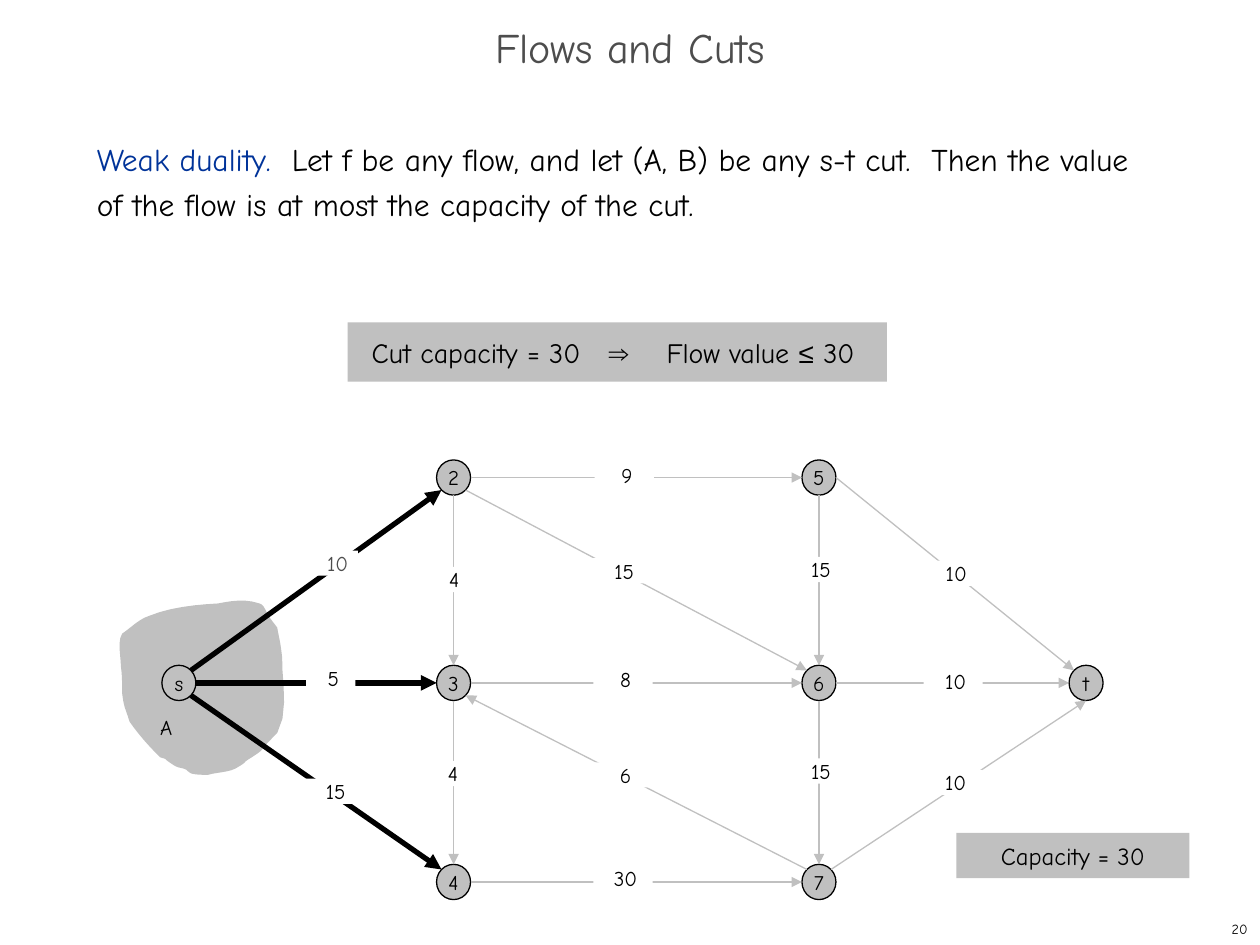
from lxml.etree import SubElement
from pptx import Presentation
from pptx.dml.color import RGBColor
from pptx.enum.shapes import MSO_CONNECTOR, MSO_SHAPE
from pptx.enum.text import MSO_ANCHOR as ANCHOR, PP_ALIGN as ALIGN
from pptx.oxml.ns import qn
from pptx.util import Pt

PX = 9144  # EMU per px, 100 px to the inch
FONT, SYMBOL_FONT = "Comic Neue", "Arial"
BLACK = RGBColor(0, 0, 0)
WHITE = RGBColor(0xFF, 0xFF, 0xFF)
GRAY = RGBColor(0xC0, 0xC0, 0xC0)
DARK = RGBColor(0x4D, 0x4D, 0x4D)
BLUE = RGBColor(0x00, 0x33, 0x99)

# Network nodes: centre of each
ROWS = (379, 542, 700)
NODE_W, NODE_H = 27, 28
NODES = {
    "s": (142, ROWS[1]),
    "2": (360, ROWS[0]), "3": (360, ROWS[1]), "4": (360, ROWS[2]),
    "5": (650, ROWS[0]), "6": (650, ROWS[1]), "7": (650, ROWS[2]),
    "t": (862, ROWS[1]),
}
DIAGONAL = 0.71
SIDES = {
    "N": (0, -1), "S": (0, 1), "E": (1, 0), "W": (-1, 0),
    "NE": (DIAGONAL, -DIAGONAL), "NW": (-DIAGONAL, -DIAGONAL),
    "SE": (DIAGONAL, DIAGONAL), "SW": (-DIAGONAL, DIAGONAL),
}

# Edges: tail node and side, head node and side, capacity, label left and top
CUT_EDGES = [
    ("s", "NE", "2", "SW", "10", 237, 437),
    ("s", "E", "3", "W", "5", 243, 528),
    ("s", "SE", "4", "NW", "15", 241, 618),
]
OTHER_EDGES = [
    ("2", "E", "5", "W", "9", 472, 367),
    ("2", "SE", "6", "NW", "15", 470, 443),
    ("2", "S", "3", "N", "4", 335, 450),
    ("3", "E", "6", "W", "8", 471, 529),
    ("3", "S", "4", "N", "4", 334, 604),
    ("4", "E", "7", "W", "30", 471, 687),
    ("7", "NW", "3", "SE", "6", 471, 605),
    ("5", "S", "6", "N", "15", 626, 442),
    ("6", "S", "7", "N", "15", 626, 602),
    ("5", "E", "t", "NW", "10", 728, 445),
    ("6", "E", "t", "W", "10", 733, 531),
    ("7", "NE", "t", "S", "10", 733, 611),
]
WIDE_INDENTS = {("s", "2"), ("5", "t")}

# Outline of cut set A: start, then two control points and an end per curve
CUT_START = (97, 503)
CUT_CURVES = [
    ((103, 499), (111, 491), (118, 489)), ((135, 482), (155, 480), (173, 479)),
    ((184, 477), (194, 475), (206, 479)), ((210, 480), (211, 486), (214, 490)),
    ((216, 493), (220, 498), (220, 498)), ((223, 514), (222, 506), (224, 522)),
    ((223, 539), (233, 577), (212, 590)), ((208, 596), (206, 597), (200, 601)),
    ((190, 607), (199, 603), (187, 610)), ((181, 613), (172, 613), (165, 615)),
    ((161, 615), (156, 615), (152, 614)), ((150, 613), (149, 612), (148, 611)),
    ((144, 609), (143, 610), (139, 608)), ((126, 600), (136, 604), (127, 601)),
    ((118, 592), (110, 583), (103, 573)), ((102, 570), (101, 567), (100, 564)),
    ((98, 560), (97, 550), (97, 550)), ((97, 543), (97, 536), (96, 529)),
    ((96, 521), (93, 509), (97, 503)),
]


def emu(*lengths):
    return [round(length * PX) for length in lengths]


def write(shape, runs, size, align=ALIGN.CENTER, anchor=ANCHOR.MIDDLE,
          insets=(0, 0, 0, 0), wrap=True):
    """Fill a shape with one paragraph of (text, colour, font) runs."""
    frame = shape.text_frame
    frame.word_wrap, frame.vertical_anchor = wrap, anchor
    (frame.margin_left, frame.margin_top,
     frame.margin_right, frame.margin_bottom) = emu(*insets)
    paragraph = frame.paragraphs[0]
    paragraph.alignment = align
    for text, color, font in runs:
        run = paragraph.add_run()
        run.text = text
        run.font.name, run.font.size = font, Pt(size)
        run.font.color.rgb = color
    return paragraph


def style(shape, fill, line=None):
    shape.shadow.inherit = False
    shape.fill.solid()
    shape.fill.fore_color.rgb = fill
    if line is None:
        shape.line.fill.background()
    else:
        shape.line.color.rgb, shape.line.width = line, Pt(0.75)


def add_box(slide, place, fill, preset=MSO_SHAPE.RECTANGLE, line=None):
    box = slide.shapes.add_shape(preset, *emu(*place))
    style(box, fill, line)
    return box


def add_node(slide, name):
    x, y = NODES[name]
    place = (x - NODE_W / 2, y - NODE_H / 2, NODE_W, NODE_H)
    node = add_box(slide, place, GRAY, MSO_SHAPE.OVAL, BLACK)
    write(node, [(name, BLACK, FONT)], 12, wrap=False)


def node_side(name, side):
    (x, y), (dx, dy) = NODES[name], SIDES[side]
    return x + dx * NODE_W / 2, y + dy * NODE_H / 2


def add_edge(slide, edge, color, width):
    tail, tail_side, head, head_side = edge[:4]
    arrow = slide.shapes.add_connector(
        MSO_CONNECTOR.STRAIGHT,
        *emu(*node_side(tail, tail_side), *node_side(head, head_side)))
    arrow.line.color.rgb, arrow.line.width = color, Pt(width)
    SubElement(arrow.line._get_or_add_ln(), qn("a:tailEnd"), type="triangle")
    SubElement(arrow._element.spPr, qn("a:effectLst"))


def add_capacity(slide, edge):
    tail, _, head, _, capacity, left, top = edge
    width = 39 if capacity == "5" else 47
    indent = 15 if (tail, head) in WIDE_INDENTS else 4
    color = DARK if (tail, head) == ("s", "2") else BLACK
    label = add_box(slide, (left, top, width, 20), WHITE)
    write(label, [(capacity, color, FONT)], 12, anchor=ANCHOR.TOP,
          insets=(indent, 0, 0, 0))


def curve_points(start, curves, steps=6):
    """Follow a chain of cubic curves in short straight steps."""
    for first, second, end in curves:
        for step in range(1, steps + 1):
            t = step / steps
            u = 1 - t
            yield emu(*(u**3 * a + 3 * u * u * t * b + 3 * u * t * t * c + t**3 * d
                        for a, b, c, d in zip(start, first, second, end)))
        start = end


def add_cut_set(slide):
    outline = slide.shapes.build_freeform(*emu(*CUT_START), scale=1.0)
    outline.add_line_segments(list(curve_points(CUT_START, CUT_CURVES)), close=True)
    style(outline.convert_to_shape(), GRAY)


def add_texts(slide):
    # Title
    title = slide.shapes.title
    title.left, title.top, title.width, title.height = emu(0, 17, 1000, 50)
    heading = write(title, [("Flows and Cuts", DARK, FONT)], 24, insets=(10, 5, 10, 5))
    heading.line_spacing = 0.7

    # Statement
    statement = slide.shapes.add_textbox(*emu(67, 100, 858, 592))
    claim = write(statement, [
        ("Weak duality.", BLUE, FONT),
        ("  Let f be any flow, and let (A, B) be any s-t cut.  Then the value "
         "of the flow is at most the capacity of the cut.", BLACK, FONT),
    ], 18, ALIGN.LEFT, ANCHOR.TOP, (10, 5, 10, 5))
    claim.line_spacing = Pt(26)

    # Bound, its parts set apart by tab stops
    bound = add_box(slide, (276, 256, 428, 47), GRAY)
    tabs = SubElement(bound.text_frame.paragraphs[0]._p.get_or_add_pPr(), qn("a:tabLst"))
    for position in emu(188, 234):
        SubElement(tabs, qn("a:tab"), pos=str(position), algn="l")
    write(bound, [
        ("Cut capacity = 30\t", BLACK, FONT), ("⇒", BLACK, SYMBOL_FONT),
        ("\tFlow value ", BLACK, FONT), ("≤", BLACK, SYMBOL_FONT),
        (" 30", BLACK, FONT),
    ], 16, ALIGN.LEFT, ANCHOR.TOP, (19, 10, 15, 10))

    # Page number
    page = slide.shapes.add_textbox(*emu(792, 725, 208, 25))
    write(page, [("20", BLACK, FONT)], 8, ALIGN.RIGHT, insets=(10, 5, 10, 5))


def add_network(slide):
    add_cut_set(slide)
    for name in NODES:
        add_node(slide, name)
    for edge in CUT_EDGES:
        add_edge(slide, edge, BLACK, 3)
    for edge in OTHER_EDGES:
        add_edge(slide, edge, GRAY, 0.75)
    for edge in CUT_EDGES + OTHER_EDGES:
        add_capacity(slide, edge)

    # Names of the cut set and its capacity
    cut_capacity = add_box(slide, (759, 661, 185, 36), GRAY)
    write(cut_capacity, [("Capacity = 30", BLACK, FONT)], 14, insets=(10, 10, 10, 10))
    cut_name = slide.shapes.add_textbox(*emu(127, 567, 10, 20))
    write(cut_name, [("A", BLACK, FONT)], 12, anchor=ANCHOR.TOP, wrap=False)


def main():
    deck = Presentation()
    deck.slide_width, deck.slide_height = emu(1000, 750)
    slide = deck.slides.add_slide(deck.slide_layouts[5])
    add_texts(slide)
    add_network(slide)
    deck.save("out.pptx")


if __name__ == "__main__":
    main()
